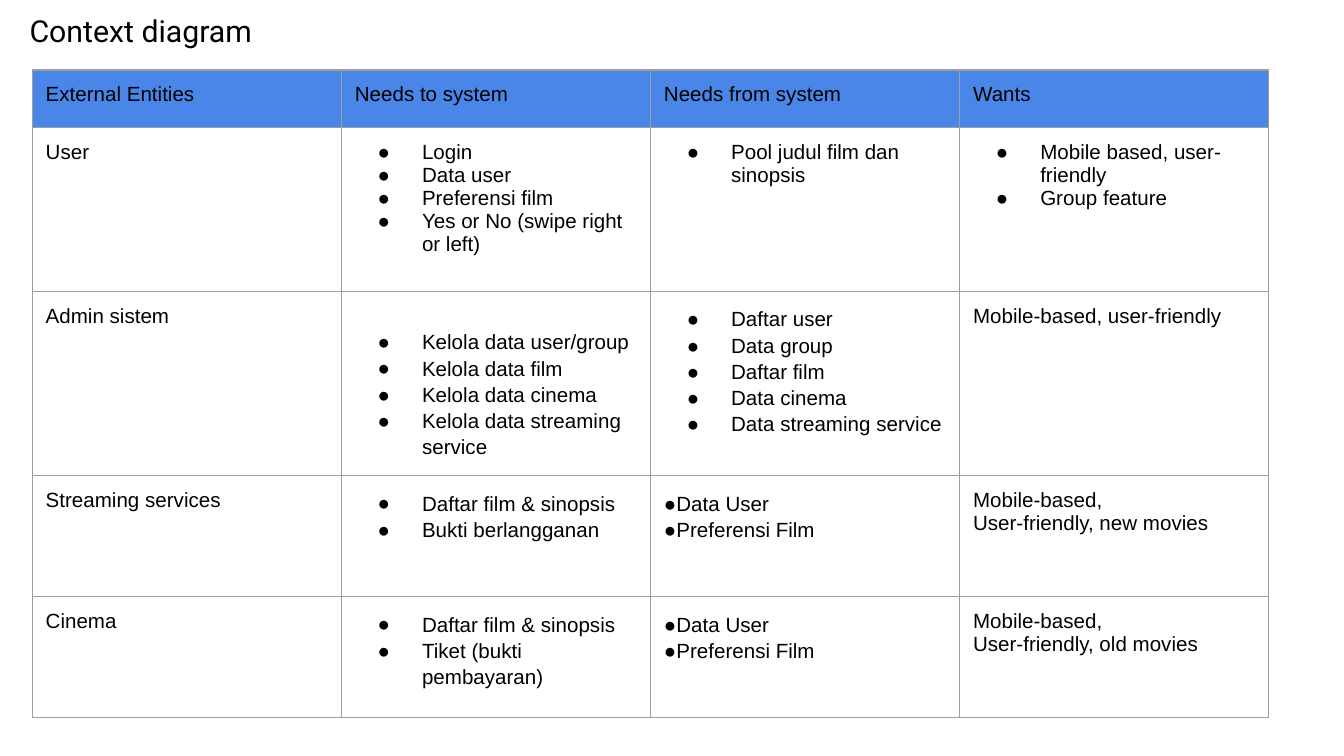
from dataclasses import dataclass

from lxml import etree
from pptx import Presentation
from pptx.dml.color import RGBColor
from pptx.enum.text import MSO_ANCHOR, MSO_AUTO_SIZE, PP_ALIGN
from pptx.oxml.ns import qn
from pptx.util import Inches, Pt

TOP = MSO_ANCHOR.TOP
LEFT = PP_ALIGN.LEFT
FIXED = MSO_AUTO_SIZE.NONE
TITLE_ONLY = 5


@dataclass(frozen=True)
class Theme:
    ink: str = "000000"
    head: str = "4A86E8"
    rule: str = "9E9E9E"
    rule_width: float = 0.75
    title_font: str = "Roboto"
    title_size: float = 16.2
    font: str = "Arial"
    size: float = 11


@dataclass(frozen=True)
class Entry:
    lines: tuple[str, ...]
    bullet: bool = False
    space: float | None = None
    top: float = 0.1


THEME = Theme()
LOOSE = 1.15
PAD = 0.1
COL = 2.3
ROWS = (0.43, 1.22, 1.37, 0.9, 0.9)


def plain(*lines: str) -> Entry:
    return Entry(lines)


def tight(*lines: str) -> Entry:
    return Entry(lines, bullet=True)


def loose(*lines: str, top: float = PAD) -> Entry:
    return Entry(lines, bullet=True, space=LOOSE, top=top)


VIEWER = Entry(("●Data User", "●Preferensi Film"), space=LOOSE)

GRID = (
    tuple(plain(name) for name in
          ("External Entities", "Needs to system", "Needs from system", "Wants")),
    (plain("User"),
     tight("Login", "Data user", "Preferensi film", "Yes or No (swipe right or left)"),
     tight("Pool judul film dan sinopsis"),
     tight("Mobile based, user-friendly", "Group feature")),
    (plain("Admin sistem"),
     loose("Kelola data user/group", "Kelola data film", "Kelola data cinema",
           "Kelola data streaming service", top=0.27),
     loose("Daftar user", "Data group", "Daftar film", "Data cinema",
           "Data streaming service"),
     plain("Mobile-based, user-friendly")),
    (plain("Streaming services"),
     loose("Daftar film & sinopsis", "Bukti berlangganan"),
     VIEWER,
     plain("Mobile-based,", "User-friendly, new movies")),
    (plain("Cinema"),
     loose("Daftar film & sinopsis", "Tiket (bukti pembayaran)"),
     VIEWER,
     plain("Mobile-based,", "User-friendly, old movies")),
)


def add_run(para, text: str, font: str, size: float) -> None:
    run = para.add_run()
    run.text = text
    run.font.name = font
    run.font.size = Pt(size)
    run.font.color.rgb = RGBColor.from_string(THEME.ink)


def add_bullet(para) -> None:
    props = para._p.get_or_add_pPr()
    props.set("marL", str(Inches(0.5)))
    props.set("indent", str(Inches(-0.33)))
    tint = etree.SubElement(props, qn("a:buClr"))
    etree.SubElement(tint, qn("a:srgbClr"), val=THEME.ink)
    etree.SubElement(props, qn("a:buSzPts"), val=str(int(THEME.size * 100)))
    etree.SubElement(props, qn("a:buFont"), typeface=THEME.font)
    etree.SubElement(props, qn("a:buChar"), char="●")


def add_border(cell) -> None:
    props = cell._tc.get_or_add_tcPr()
    for spot, side in enumerate(("lnL", "lnR", "lnT", "lnB")):
        line = etree.Element(qn(f"a:{side}"), w=str(Pt(THEME.rule_width)))
        fill = etree.SubElement(line, qn("a:solidFill"))
        etree.SubElement(fill, qn("a:srgbClr"), val=THEME.rule)
        props.insert(spot, line)


def fill_cell(cell, entry: Entry, head: bool) -> None:
    cell.margin_left = cell.margin_right = cell.margin_bottom = Inches(PAD)
    cell.margin_top = Inches(entry.top)
    cell.vertical_anchor = TOP
    if head:
        cell.fill.solid()
        cell.fill.fore_color.rgb = RGBColor.from_string(THEME.head)
    else:
        cell.fill.background()
    add_border(cell)
    frame = cell.text_frame
    for spot, text in enumerate(entry.lines):
        para = frame.add_paragraph() if spot else frame.paragraphs[0]
        if entry.space:
            para.line_spacing = entry.space
        if entry.bullet:
            add_bullet(para)
        add_run(para, text, THEME.font, THEME.size)
        para.runs[0].font.bold = False


def add_title(slide, text: str) -> None:
    title = slide.shapes.title
    title.left, title.top = Inches(0.12), Inches(-0.01)
    title.width, title.height = Inches(9.32), Inches(0.44)
    frame = title.text_frame
    frame.margin_left = frame.margin_right = Inches(PAD)
    frame.margin_top = frame.margin_bottom = Inches(PAD)
    frame.vertical_anchor = TOP
    frame.auto_size = FIXED
    frame.word_wrap = True
    para = frame.paragraphs[0]
    para.alignment = LEFT
    add_run(para, text, THEME.title_font, THEME.title_size)


def add_grid(slide) -> None:
    count = len(GRID[0])
    table = slide.shapes.add_table(
        len(GRID), count, Inches(0.24), Inches(0.52),
        Inches(COL * count), Inches(sum(ROWS))).table
    table.horz_banding = False
    for col in table.columns:
        col.width = Inches(COL)
    for r, (high, entries) in enumerate(zip(ROWS, GRID)):
        table.rows[r].height = Inches(high)
        for c, entry in enumerate(entries):
            fill_cell(table.cell(r, c), entry, head=r == 0)


def main() -> None:
    deck = Presentation()
    deck.slide_width = Inches(10)
    deck.slide_height = deck.slide_width * 9 // 16
    slide = deck.slides.add_slide(deck.slide_layouts[TITLE_ONLY])
    add_title(slide, "Context diagram")
    add_grid(slide)
    deck.save("out.pptx")


if __name__ == "__main__":
    main()
